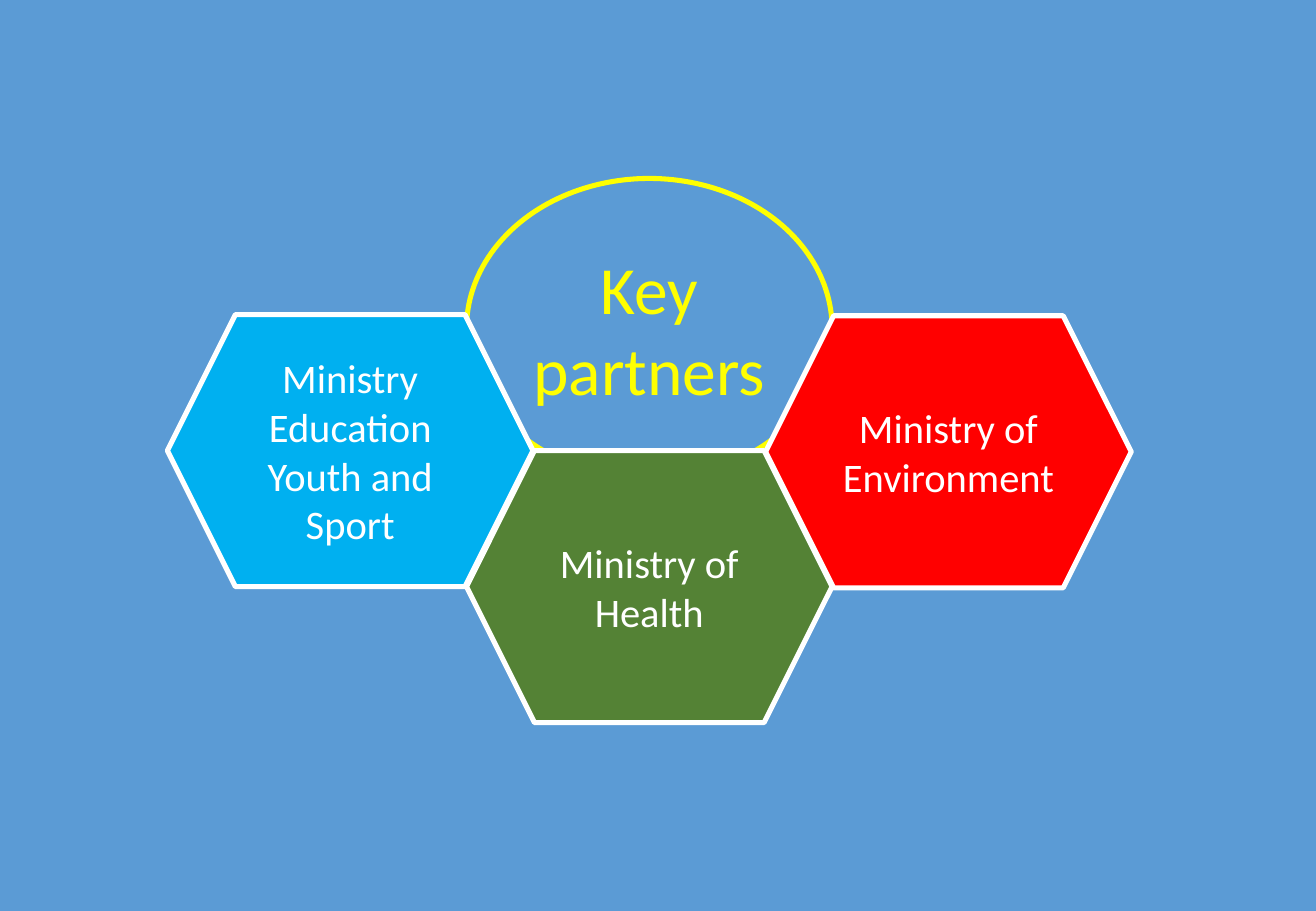
from pptx import Presentation
from pptx.dml.color import RGBColor
from pptx.enum.shapes import MSO_SHAPE
from pptx.enum.text import MSO_ANCHOR, PP_ALIGN
from pptx.util import Pt

BLUE = RGBColor(0x5B, 0x9B, 0xD5)
YELLOW = RGBColor(0xFF, 0xFF, 0x00)
WHITE = RGBColor(0xFF, 0xFF, 0xFF)
GREEN = RGBColor(0x54, 0x82, 0x35)
RED = RGBColor(0xFF, 0x00, 0x00)
SKY = RGBColor(0x00, 0xB0, 0xF0)

CELL_WIDTH = 216.7
CELL_HEIGHT = 161.3
CENTER_LEFT = 276.5
COLUMN_STEP = 177.3


def set_background(slide, color):
    """Fill the slide background with one colour."""
    slide.background.fill.solid()
    slide.background.fill.fore_color.rgb = color


def add_label_shape(slide, kind, box, text, fill, accent, size):
    """Add a filled shape whose outline and centred text share a colour."""
    shape = slide.shapes.add_shape(kind, *(Pt(value) for value in box))
    shape.shadow.inherit = False
    shape.fill.solid()
    shape.fill.fore_color.rgb = fill
    shape.line.color.rgb = accent
    shape.line.width = Pt(3)
    frame = shape.text_frame
    frame.word_wrap = True
    frame.vertical_anchor = MSO_ANCHOR.MIDDLE
    paragraph = frame.paragraphs[0]
    paragraph.alignment = PP_ALIGN.CENTER
    run = paragraph.add_run()
    run.text = text
    run.font.name = "Calibri"
    run.font.size = Pt(size)
    run.font.color.rgb = accent


def add_ministry(slide, column, top, text, fill):
    """Add one ministry hexagon, placed by its column from the centre."""
    box = (CENTER_LEFT + column * COLUMN_STEP, top, CELL_WIDTH, CELL_HEIGHT)
    add_label_shape(slide, MSO_SHAPE.HEXAGON, box, text, fill, WHITE, 24)


def main():
    """Build the key partners slide."""
    presentation = Presentation()
    presentation.slide_width = Pt(780)
    presentation.slide_height = Pt(540)
    slide = presentation.slides.add_slide(presentation.slide_layouts[6])
    set_background(slide, BLUE)
    add_label_shape(slide, MSO_SHAPE.OVAL, (CENTER_LEFT, 105.8, CELL_WIDTH, 177.8),
                    "Key partners", BLUE, YELLOW, 40)
    add_ministry(slide, 0, 267.1, "Ministry of Health", GREEN)
    add_ministry(slide, 1, 187.2, "Ministry of Environment", RED)
    add_ministry(slide, -1, 186.5, "Ministry Education Youth and Sport", SKY)
    presentation.save("out.pptx")


if __name__ == "__main__":
    main()
